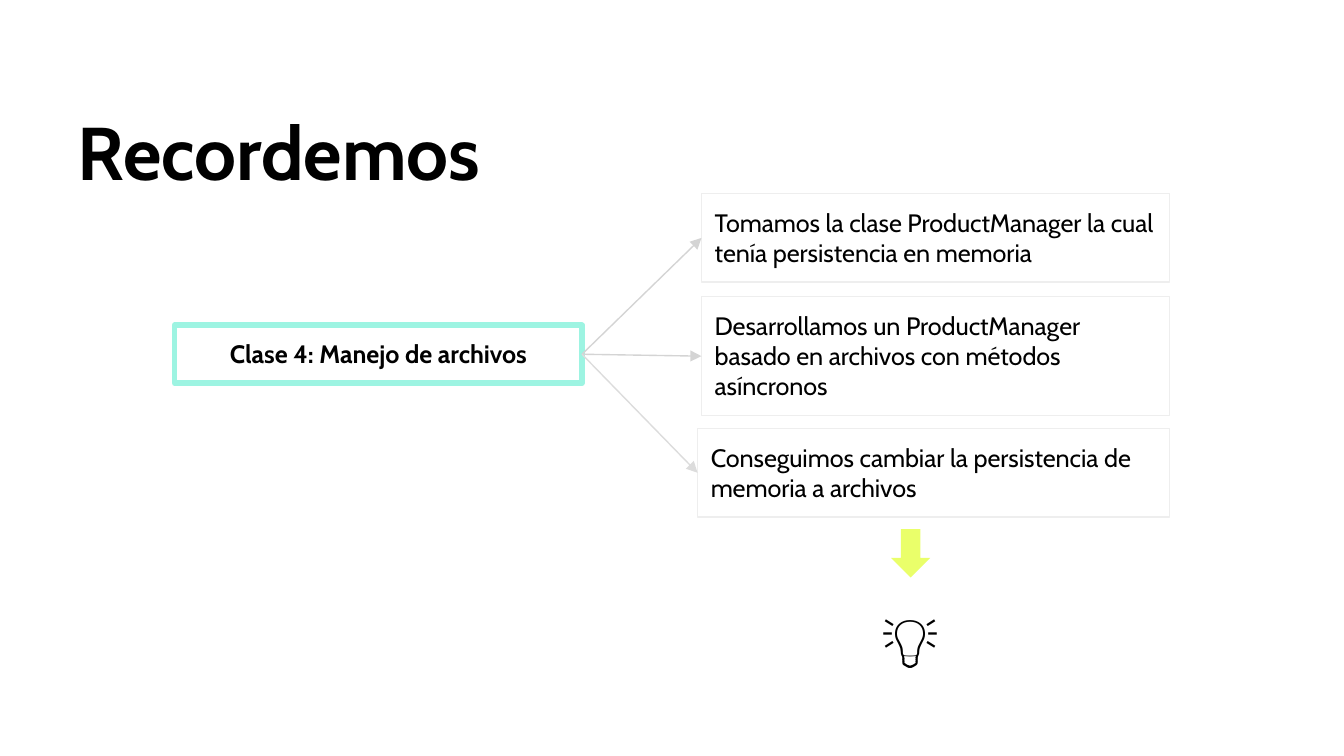
from lxml import etree
from pptx import Presentation
from pptx.dml.color import RGBColor
from pptx.enum import shapes as sh, text as tx
from pptx.oxml.ns import qn
from pptx.util import Pt

# Content: text and box (left, top, width, height) in points
TITLE = ("Recordemos", (34.5, 42.5, 548.6, 77.8))
TOPIC = ("Clase 4: Manejo de archivos", (93.6, 174.3, 218.2, 31))
STEPS = [
    ("Tomamos la clase ProductManager la cual tenía persistencia en memoria",
     (375.8, 103.8, 250.6, 47.4), "D4D4D4"),
    ("Desarrollamos un ProductManager basado en archivos con métodos asíncronos",
     (375.8, 159, 250.6, 63.6), "D4D4D4"),
    ("Conseguimos cambiar la persistencia de memoria a archivos",
     (373.7, 229.6, 252.7, 47.4), "DCDCDC"),
]
ARROW = (477.4, 283.5, 20.9, 25.9)
IDEA = ("💡", (369.4, 316.1, 236.2, 51.1))

LEFT, MID = tx.PP_ALIGN.LEFT, tx.PP_ALIGN.CENTER
GROW, FIXED = tx.MSO_AUTO_SIZE.SHAPE_TO_FIT_TEXT, tx.MSO_AUTO_SIZE.NONE


def color(code):
    return RGBColor.from_string(code)


def pts(box):
    return [Pt(n) for n in box]


def write(shape, words, size, bold=False, align=LEFT, fit=GROW):
    frame = shape.text_frame
    frame.text = words
    form = dict(word_wrap=True, auto_size=fit, vertical_anchor=tx.MSO_ANCHOR.TOP)
    for side in ("left", "top", "right", "bottom"):
        form["margin_" + side] = Pt(7.2)
    for key, val in form.items():
        setattr(frame, key, val)
    para = frame.paragraphs[0]
    para.alignment = align
    font = para.runs[0].font
    for key, val in dict(name="Cabin", size=Pt(size), bold=bold).items():
        setattr(font, key, val)
    font.color.rgb = color("000000")
    return para


def frame_box(slide, words, box, edge, width, **form):
    shape = slide.shapes.add_shape(sh.MSO_SHAPE.RECTANGLE, *pts(box))
    shape.shadow.inherit = False
    shape.fill.background()
    shape.line.color.rgb = color(edge)
    shape.line.width = Pt(width)
    etree.SubElement(shape.line._get_or_add_ln(), qn("a:round"))
    write(shape, words, 13.5, **form)


def link(slide, start, end, tint):
    line = slide.shapes.add_connector(
        sh.MSO_CONNECTOR.STRAIGHT, *pts(start + end))
    line.line.color.rgb = color(tint)
    line.line.width = Pt(0.75)
    etree.SubElement(line.line._get_or_add_ln(), qn("a:tailEnd"), type="triangle")
    etree.SubElement(line._element.spPr, qn("a:effectLst"))


def main():
    deck = Presentation()
    deck.slide_width, deck.slide_height = Pt(720), Pt(405)
    slide = deck.slides.add_slide(deck.slide_layouts[5])

    # Title
    title = slide.shapes.title
    title.left, title.top, title.width, title.height = pts(TITLE[1])
    write(title, TITLE[0], 40, bold=True, fit=FIXED).line_spacing = 1.15

    # Topic and its steps
    frame_box(slide, *TOPIC, "9DF4E2", 3, bold=True, align=MID)
    for words, box, _ in STEPS:
        frame_box(slide, words, box, "EEEEEE", 0.75)

    # Links from the topic's right edge to each step's left edge
    x, y, w, h = TOPIC[1]
    for _, (left, top, _, high), tint in STEPS:
        link(slide, (x + w, y + h / 2), (left, top + high / 2), tint)

    # Down arrow and idea
    arrow = slide.shapes.add_shape(sh.MSO_SHAPE.DOWN_ARROW, *pts(ARROW))
    arrow.shadow.inherit = False
    arrow.fill.solid()
    arrow.fill.fore_color.rgb = color("EAFF6A")
    arrow.line.fill.background()
    write(slide.shapes.add_textbox(*pts(IDEA[1])), IDEA[0], 30, align=MID)

    deck.save("out.pptx")


if __name__ == "__main__":
    main()
